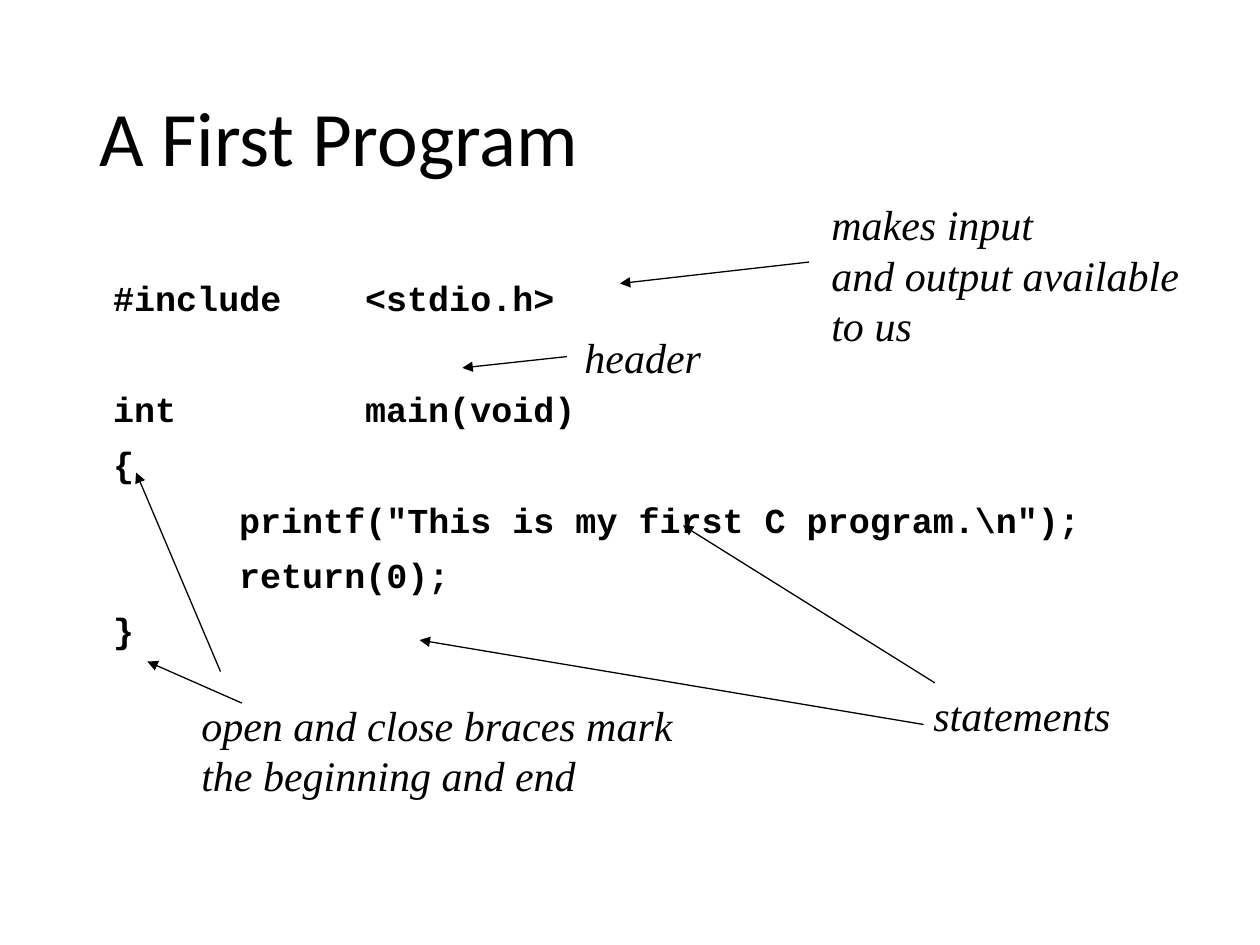
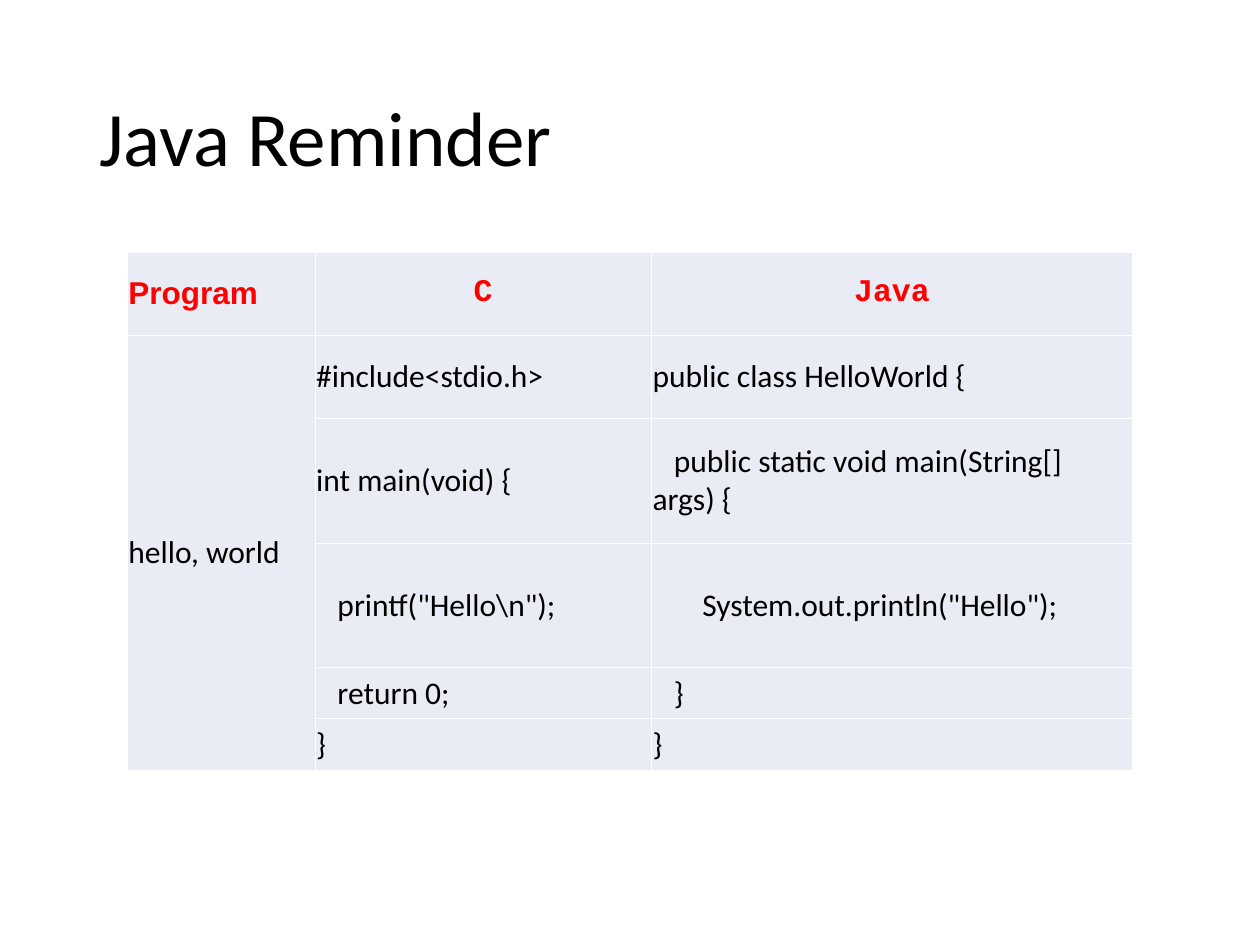
"""Build two slides that introduce a first C program and compare it with Java."""
from dataclasses import dataclass

from lxml.etree import SubElement
from pptx import Presentation
from pptx.dml.color import RGBColor
from pptx.enum.shapes import MSO_CONNECTOR
from pptx.enum.text import MSO_ANCHOR, MSO_AUTO_SIZE, PP_ALIGN
from pptx.oxml.ns import qn
from pptx.util import Inches, Pt


@dataclass(frozen=True)
class Theme:
    """Colours, fonts and type sizes of the deck."""
    ink: str = "000000"
    heading: str = "FF0000"
    cell: str = "E9EBF5"
    rule: str = "FFFFFF"
    body_font: str = "Calibri"
    code_font: str = "Courier New"
    note_font: str = "Times New Roman"
    label_font: str = "Arial"
    title_size: float = 44
    note_size: float = 24
    code_size: float = 20
    table_size: float = 18
    arrow_width: float = 0.75
    rule_width: float = 0.45


THEME = Theme()

CODE_TABS = (1, 2)
CODE = (
    ("#include\t<stdio.h>", 0),
    ("int\t\tmain(void)", 42),
    ("{", 10),
    ('\tprintf("This is my first C program.\\n");', 10),
    ("\treturn(0);", 10),
    ("}", 10),
)

NOTES = (
    (("statements",), (7.31, 5.42, 1.8, 0.5)),
    (("header",), (4.54, 2.58, 1.3, 0.5)),
    (("open and close braces mark", "the beginning and end"), (1.5, 5.5, 4.1, 0.9)),
    (("makes input", "and output available", "to us"), (6.5, 1.53, 3.1, 1.3)),
)

ARROWS = (
    ((7.42, 5.42), (5.42, 4.17)),
    ((7.33, 5.75), (3.33, 5.08)),
    ((4.5, 2.83), (3.67, 2.92)),
    ((1.92, 5.58), (1.17, 5.25)),
    ((1.75, 5.33), (1.08, 3.75)),
    ((6.42, 2.08), (4.92, 2.25)),
)

COLUMNS = (1.49, 2.67, 3.82)
ROWS = (0.66, 0.66, 0.99, 0.99, 0.37, 0.37)
PROGRAMS = (
    ("#include<stdio.h>", "public class HelloWorld {"),
    ("int main(void) {", "   public static void main(String[] args) {"),
    ('   printf("Hello\\n");', '       System.out.println("Hello");'),
    ("   return 0;", "   }"),
    ("}", "}"),
)


def write(para, text, *, font, size, color=THEME.ink, bold=False, italic=False,
          align=PP_ALIGN.LEFT, spacing=None, before=0, tabs=()):
    """Put formatted text into a paragraph."""
    para.alignment = align
    para.line_spacing = spacing
    if before:
        para.space_before = Pt(before)
    if tabs:
        stops = SubElement(para._p.get_or_add_pPr(), qn("a:tabLst"))
        for stop in tabs:
            SubElement(stops, qn("a:tab"), pos=str(Inches(stop)), algn="l")
    span = para.add_run()
    span.text = text
    span.font.name = font
    span.font.size = Pt(size)
    span.font.bold = bold
    span.font.italic = italic
    span.font.color.rgb = RGBColor.from_string(color)


def add_box(page, area, *, anchor=MSO_ANCHOR.TOP, wrap=True):
    """Add an empty text box and return its text frame."""
    frame = page.shapes.add_textbox(*map(Inches, area)).text_frame
    frame.word_wrap = wrap
    frame.vertical_anchor = anchor
    frame.auto_size = MSO_AUTO_SIZE.NONE
    return frame


def next_para(frame, index):
    """Return the first paragraph of a frame, or a new one after it."""
    return frame.add_paragraph() if index else frame.paragraphs[0]


def add_page(deck, title):
    """Add a blank page with the shared title style."""
    page = deck.slides.add_slide(deck.slide_layouts[6])
    frame = add_box(page, (0.69, 0.4, 8.63, 1.45), anchor=MSO_ANCHOR.MIDDLE)
    write(frame.paragraphs[0], title, font=THEME.body_font,
          size=THEME.title_size, spacing=0.9)
    return page


def add_code(page, lines, area):
    """Add a code listing with tab stops and a set gap before each line."""
    frame = add_box(page, area)
    for index, (text, before) in enumerate(lines):
        write(next_para(frame, index), text, font=THEME.code_font,
              size=THEME.code_size, bold=True, spacing=0.9, before=before,
              tabs=CODE_TABS)


def add_note(page, lines, area):
    """Add an italic remark about the code."""
    frame = add_box(page, area)
    for index, text in enumerate(lines):
        write(next_para(frame, index), text, font=THEME.note_font,
              size=THEME.note_size, italic=True)


def add_arrow(page, start, end):
    """Add a thin arrow that points at its end."""
    arrow = page.shapes.add_connector(
        MSO_CONNECTOR.STRAIGHT, *map(Inches, (*start, *end)))
    arrow.line.color.rgb = RGBColor.from_string(THEME.ink)
    arrow.line.width = Pt(THEME.arrow_width)
    properties = arrow._element.spPr
    SubElement(properties.find(qn("a:ln")), qn("a:tailEnd"), type="triangle")
    SubElement(properties, qn("a:effectLst"))


def style_cell(cell):
    """Give a cell its borders, fill, margins and anchor."""
    properties = cell._tc.get_or_add_tcPr()
    for side in ("lnL", "lnR", "lnT", "lnB"):
        line = SubElement(properties, qn(f"a:{side}"), w=str(Pt(THEME.rule_width)))
        fill = SubElement(line, qn("a:solidFill"))
        SubElement(fill, qn("a:srgbClr"), val=THEME.rule)
    cell.fill.solid()
    cell.fill.fore_color.rgb = RGBColor.from_string(THEME.cell)
    cell.margin_left = cell.margin_right = Inches(0.01)
    cell.vertical_anchor = MSO_ANCHOR.MIDDLE


def add_comparison(page, left, top):
    """Add the table that sets the C program beside the Java program."""
    table = page.shapes.add_table(
        len(ROWS), len(COLUMNS), Inches(left), Inches(top),
        Inches(sum(COLUMNS)), Inches(sum(ROWS))).table
    table.first_row = table.horz_banding = False
    for column, width in zip(table.columns, COLUMNS):
        column.width = Inches(width)
    for row, height in zip(table.rows, ROWS):
        row.height = Inches(height)
    for cell in table.iter_cells():
        style_cell(cell)
    table.cell(1, 0).merge(table.cell(len(ROWS) - 1, 0))

    headings = (
        ("Program", THEME.label_font, PP_ALIGN.LEFT),
        ("C", THEME.code_font, PP_ALIGN.CENTER),
        ("Java", THEME.code_font, PP_ALIGN.CENTER),
    )
    for index, (text, font, align) in enumerate(headings):
        write(table.cell(0, index).text_frame.paragraphs[0], text, font=font,
              size=THEME.table_size, color=THEME.heading, bold=True, align=align)

    body = {(1, 0): "hello, world"}
    for row, pair in enumerate(PROGRAMS, start=1):
        for column, text in enumerate(pair, start=1):
            body[row, column] = text
    for place, text in body.items():
        write(table.cell(*place).text_frame.paragraphs[0], text,
              font=THEME.body_font, size=THEME.table_size)


def main():
    """Build and save the deck."""
    deck = Presentation()
    deck.slide_width, deck.slide_height = Inches(10), Inches(7.5)

    page = add_page(deck, "A First Program")
    add_code(page, CODE, (0.8, 2.18, 8.5, 4.5))
    for start, end in ARROWS:
        add_arrow(page, start, end)
    for lines, area in NOTES:
        add_note(page, lines, area)

    page = add_page(deck, "Java Reminder")
    add_comparison(page, 1.01, 2)

    deck.save("out.pptx")


if __name__ == "__main__":
    main()
